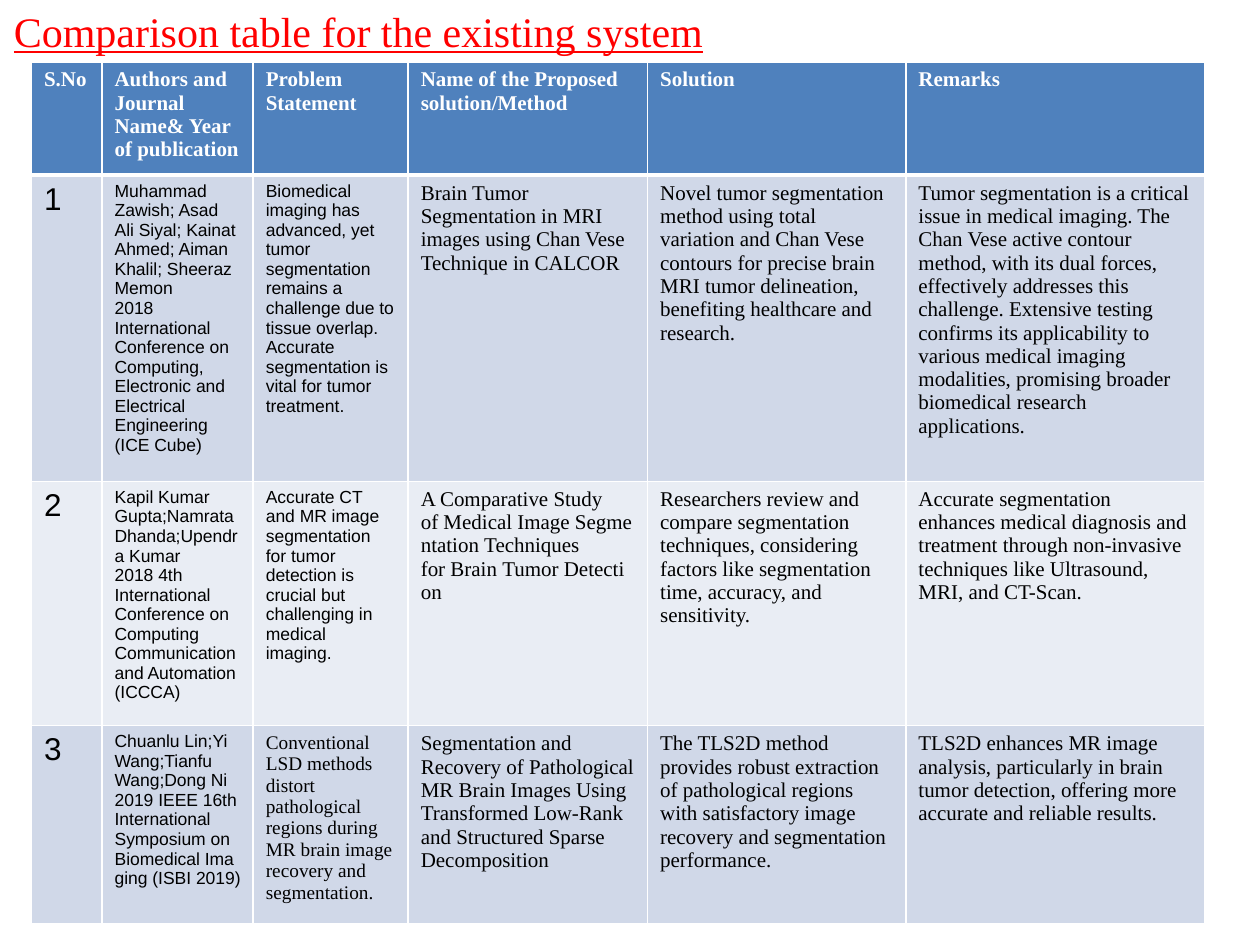
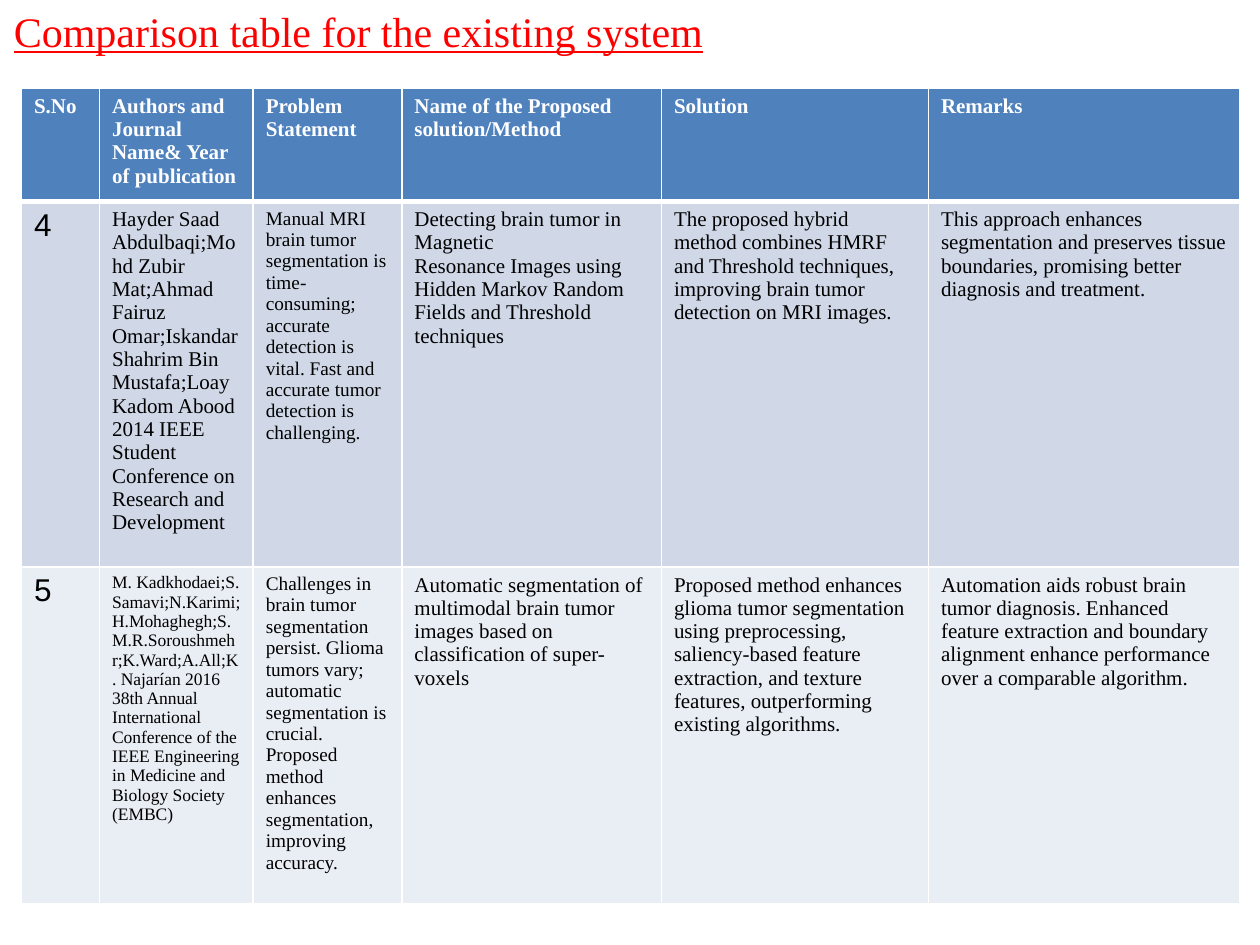
import pptx
import pptx.util
import pptx.dml.color
import pptx.enum.text
import pptx.oxml.ns
import lxml.etree
from dataclasses import dataclass

Inches = pptx.util.Inches


# Theme: colours and type styles (font, size) in one place
@dataclass(frozen=True)
class Theme:
    title_colour: str = "FF0000"
    header_fill: str = "4F81BD"
    header_text: str = "FFFFFF"
    body_text: str = "000000"
    border: str = "FFFFFF"
    bands: tuple = ("D0D8E8", "E9EDF4")
    title: tuple = ("Times New Roman", 24)
    number: tuple = ("Arial", 18)
    sans: tuple = ("Arial", 10)
    serif: tuple = ("Times New Roman", 12)
    serif_medium: tuple = ("Times New Roman", 11)
    serif_small: tuple = ("Times New Roman", 10)


theme = Theme()


def format_text(text_frame, style, colour, bold=False, underline=False):
    for paragraph in text_frame.paragraphs:
        for run in paragraph.runs:
            run.font.name = style[0]
            run.font.size = pptx.util.Pt(style[1])
            run.font.color.rgb = pptx.dml.color.RGBColor.from_string(colour)
            run.font.bold = bold
            run.font.underline = underline


def format_cell(cell, fill, top_width, bottom_width):
    # Borders come before the fill in the cell properties
    properties = cell._tc.get_or_add_tcPr()
    widths = {"lnL": 1, "lnR": 1, "lnT": top_width, "lnB": bottom_width}
    for tag, width in widths.items():
        line = lxml.etree.SubElement(properties, pptx.oxml.ns.qn("a:" + tag),
                                     w=str(pptx.util.Pt(width)))
        solid = lxml.etree.SubElement(line, pptx.oxml.ns.qn("a:solidFill"))
        lxml.etree.SubElement(solid, pptx.oxml.ns.qn("a:srgbClr"), val=theme.border)
    cell.fill.solid()
    cell.fill.fore_color.rgb = pptx.dml.color.RGBColor.from_string(fill)


# Content: each study has its author style, its problem style and its cells
title_text = "Comparison table for the existing system"
headers = ["S.No", "Authors and Journal Name& Year of publication", "Problem Statement",
           "Name of the Proposed solution/Method", "Solution ", "Remarks"]

tables = [
    {
        "left": 0.25, "top": 0.49,
        "columns": [0.56, 1.2, 1.23, 1.9, 2.05, 2.37],
        "rows": [0.9, 2.43, 1.94, 1.57],
        "studies": [
            (theme.sans, theme.sans, [
                "1",
                "Muhammad Zawish; Asad Ali Siyal; Kainat Ahmed; Aiman Khalil; Sheeraz Memon\n"
                "2018 International Conference on Computing, Electronic and Electrical "
                "Engineering (ICE Cube)",
                "Biomedical imaging has advanced, yet tumor segmentation remains a challenge "
                "due to tissue overlap. Accurate segmentation is vital for tumor treatment.",
                "Brain Tumor Segmentation in MRI images using Chan Vese Technique in CALCOR",
                "Novel tumor segmentation method using total variation and Chan Vese contours "
                "for precise brain MRI tumor delineation, benefiting healthcare and research.",
                "Tumor segmentation is a critical issue in medical imaging. The Chan Vese "
                "active contour method, with its dual forces, effectively addresses this "
                "challenge. Extensive testing confirms its applicability to various medical "
                "imaging modalities, promising broader biomedical research applications.",
            ]),
            (theme.sans, theme.sans, [
                "2",
                "Kapil Kumar Gupta;Namrata Dhanda;Upendra Kumar\n"
                "2018 4th International Conference on Computing Communication and "
                "Automation (ICCCA)",
                "Accurate CT and MR image segmentation for tumor detection is crucial but "
                "challenging in medical imaging.",
                "A Comparative Study of\u00a0Medical\u00a0Image\u00a0Segmentation\u00a0Techniques "
                "for\u00a0Brain\u00a0Tumor\u00a0Detection",
                "Researchers review and compare segmentation techniques, considering factors "
                "like segmentation time, accuracy, and sensitivity.",
                "Accurate segmentation enhances medical diagnosis and treatment through "
                "non-invasive techniques like Ultrasound, MRI, and CT-Scan.",
            ]),
            (theme.sans, theme.serif_medium, [
                "3",
                "Chuanlu Lin;Yi Wang;Tianfu Wang;Dong Ni\n"
                "2019 IEEE 16th International Symposium on "
                "Biomedical\u00a0Imaging\u00a0(ISBI 2019)",
                "Conventional LSD methods distort pathological regions during MR brain image "
                "recovery and segmentation.",
                "Segmentation\u00a0and Recovery of Pathological MR\u00a0Brain\u00a0Images\u00a0Using "
                "Transformed Low-Rank and Structured Sparse Decomposition",
                "The TLS2D method provides robust extraction of pathological regions with "
                "satisfactory image recovery and segmentation performance.",
                "TLS2D enhances MR image analysis, particularly in brain tumor detection, "
                "offering more accurate and reliable results.",
            ]),
        ],
    },
    {
        "left": 0.17, "top": 0.7,
        "columns": [0.62, 1.22, 1.18, 2.06, 2.12, 2.47],
        "rows": [0.9, 2.9, 2.67],
        "studies": [
            (theme.serif, theme.serif_medium, [
                "4",
                "Hayder Saad Abdulbaqi;Mohd Zubir Mat;Ahmad Fairuz Omar;Iskandar Shahrim Bin "
                "Mustafa;Loay Kadom Abood\n"
                "2014 IEEE Student Conference on Research and Development",
                "Manual MRI brain tumor segmentation is time-consuming; accurate detection is "
                "vital. Fast and accurate tumor detection is challenging.",
                "Detecting\u00a0brain\u00a0tumor\u00a0in Magnetic "
                "Resonance\u00a0Images\u00a0using Hidden Markov Random Fields and Threshold "
                "techniques",
                "The proposed hybrid method combines HMRF and Threshold techniques, improving "
                "brain tumor detection on MRI images.",
                "This approach enhances segmentation and preserves tissue boundaries, "
                "promising better diagnosis and treatment.",
            ]),
            (theme.serif_small, theme.serif_medium, [
                "5",
                "M. Kadkhodaei;S. Samavi;N.Karimi;H.Mohaghegh;S.M.R.Soroushmehr;K.Ward;A.All;"
                "K. Najar\u00edan 2016 38th Annual International Conference of the IEEE "
                "Engineering in Medicine and Biology Society (EMBC)",
                "Challenges in brain tumor segmentation persist. Glioma tumors vary; automatic "
                "segmentation is crucial. Proposed method enhances segmentation, improving "
                "accuracy.",
                "Automatic segmentation of multimodal brain tumor images based on "
                "classification of super-voxels",
                "Proposed method enhances glioma tumor segmentation using preprocessing, "
                "saliency-based feature extraction, and texture features, outperforming "
                "existing algorithms.",
                "Automation aids robust brain tumor diagnosis. Enhanced feature extraction and "
                "boundary alignment enhance performance over a comparable algorithm.",
            ]),
        ],
    },
]

presentation = pptx.Presentation()
presentation.slide_width = Inches(10)
presentation.slide_height = Inches(7.5)
title_only_layout = presentation.slide_layouts[5]

for content in tables:
    slide = presentation.slides.add_slide(title_only_layout)

    # Title
    title = slide.shapes.title
    title.left, title.top = Inches(0.01), Inches(-0.01)
    title.width, title.height = Inches(9.83), Inches(0.5)
    title.text_frame.text = title_text
    title.text_frame.word_wrap = True
    title.text_frame.auto_size = pptx.enum.text.MSO_AUTO_SIZE.NONE
    title.text_frame.vertical_anchor = pptx.enum.text.MSO_ANCHOR.TOP
    title.text_frame.paragraphs[0].alignment = pptx.enum.text.PP_ALIGN.LEFT
    format_text(title.text_frame, theme.title, theme.title_colour, underline=True)

    # Table grid
    table = slide.shapes.add_table(
        len(content["rows"]), len(headers), Inches(content["left"]), Inches(content["top"]),
        Inches(sum(content["columns"])), Inches(sum(content["rows"]))).table
    for column, width in zip(table.columns, content["columns"]):
        column.width = Inches(width)
    for row, height in zip(table.rows, content["rows"]):
        row.height = Inches(height)

    # Header row, with a heavier line below it
    for cell, text in zip(table.rows[0].cells, headers):
        cell.text_frame.text = text
        format_text(cell.text_frame, theme.serif, theme.header_text, bold=True)
        format_cell(cell, theme.header_fill, 1, 3)

    # One banded row for each study
    for index, (author_style, problem_style, texts) in enumerate(content["studies"]):
        styles = [theme.number, author_style, problem_style] + [theme.serif] * 3
        for cell, text, style in zip(table.rows[index + 1].cells, texts, styles):
            cell.text_frame.text = text
            format_text(cell.text_frame, style, theme.body_text)
            format_cell(cell, theme.bands[index % 2], 3 if index == 0 else 1, 1)

presentation.save("out.pptx")
